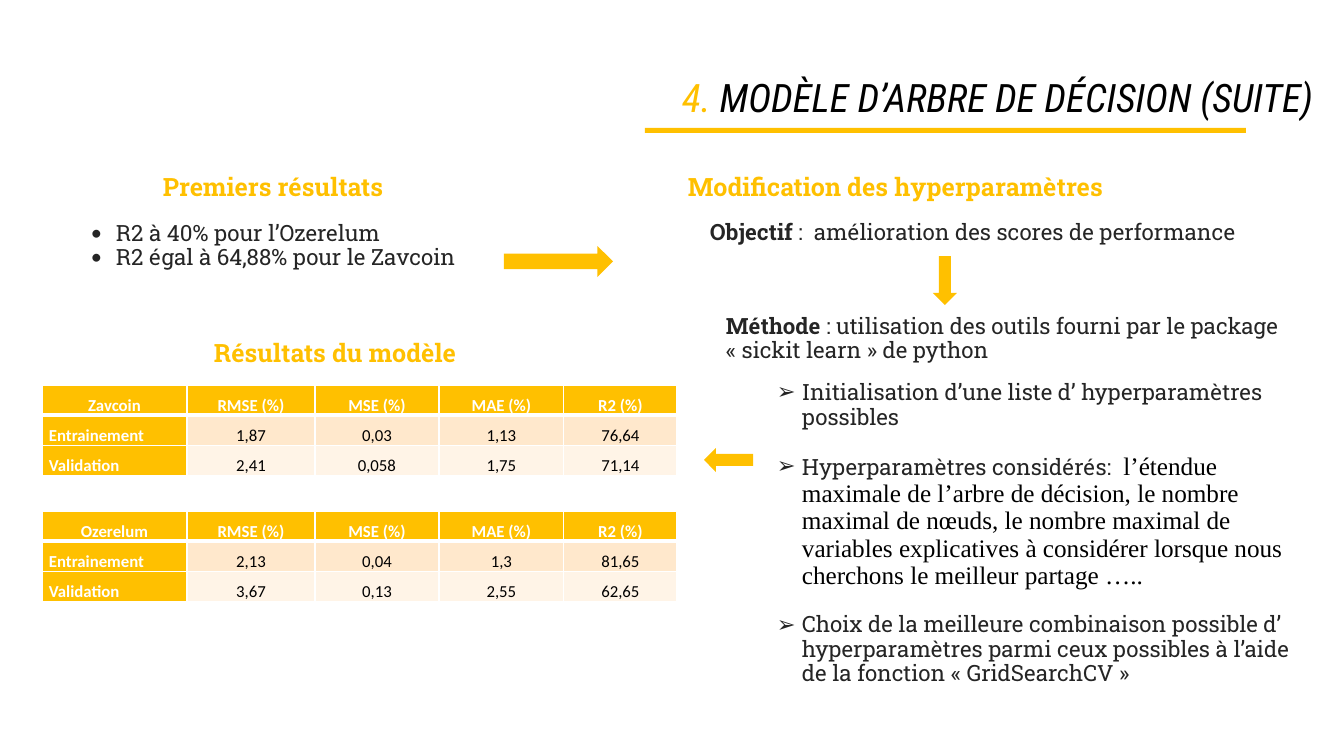
from lxml import etree
from pptx import Presentation
from pptx import util as u
from pptx.dml.color import RGBColor
from pptx.enum import shapes, text
from pptx.oxml import ns

SCALE = 914400 / 100.8  # EMU in one px
COLORS = {"gold": "FFC000", "ink": "252525", "black": "000000", "white": "FFFFFF",
          "peach": "FFE8CC", "cream": "FFF4E7"}
ALIGN = text.PP_ALIGN
SHAPE = shapes.MSO_SHAPE

# Run styles: font, size, colour, bold, italic
STYLES = {
    "number": ("Roboto Condensed", 28, "gold", False, True),
    "title": ("Roboto Condensed", 28, "black", False, True),
    "heading": ("Roboto Slab", 18, "gold", True, False),
    "body": ("Roboto Slab", 16, "ink", False, False),
    "strong": ("Roboto Slab", 16, "ink", True, False),
    "serif": ("Times New Roman", 18, "black", False, False),
    "label": ("Calibri", 12, "white", True, False),
    "value": ("Calibri", 12, "black", False, False),
}

# Content
TITLE = [("4. ", "number"), ("MODÈLE D’ARBRE DE DÉCISION (SUITE)", "title")]
HEADINGS = [
    ("Premiers résultats", (135, 165, 276, 47)),
    ("Modification des hyperparamètres", (607, 165, 577, 47)),
    ("Résultats du modèle", (166, 331, 338, 66)),
]
FIRST_RESULTS = ["R2 à 40% pour l’Ozerelum", "R2 égal à 64,88% pour le Zavcoin"]
GOAL = [("Objectif", "strong"), (" :  amélioration des scores de performance", "body")]
METHOD = [("Méthode", "strong"),
          (" : utilisation des outils fourni par le package «\u00a0sickit learn\u00a0»\u00a0de python",
           "body")]
# Points of the method: space before in points, runs
STEPS = [
    (13, [("Initialisation d’une liste d’ hyperparamètres possibles", "body")]),
    (17, [("Hyperparamètres considérés: ", "body"),
          (" l’étendue maximale de l’arbre de décision, le nombre maximal de nœuds, "
           "le nombre maximal de variables explicatives à considérer lorsque nous "
           "cherchons le meilleur partage …..", "serif")]),
    (17, [("Choix de la meilleure combinaison possible d’ hyperparamètres parmi ceux "
           "possibles à l’aide de la fonction «\u00a0GridSearchCV\u00a0»", "body")]),
]
METRICS = ["RMSE (%)", "MSE (%)", "MAE (%)", "R2 (%)"]
SCORES = {
    "Zavcoin": [("Entrainement", "1,87", "0,03", "1,13", "76,64"),
                ("Validation", "2,41", "0,058", "1,75", "71,14")],
    "Ozerelum": [("Entrainement", "2,13", "0,04", "1,3", "81,65"),
                 ("Validation", "3,67", "0,13", "2,55", "62,65")],
}
TABLE_LEFT, TABLE_TOP, TABLE_STEP, ROW_HEIGHT = 42, 385, 126, 30
COLUMN_WIDTHS = [145, 128, 124, 125, 113]
GOLD_SHAPES = [
    (SHAPE.RECTANGLE, (645, 128, 601, 5)),
    (SHAPE.RIGHT_ARROW, (504, 246, 109, 31)),
    (SHAPE.DOWN_ARROW, (933, 256, 24, 49)),
    (SHAPE.LEFT_ARROW, (704, 448, 49, 24)),
]


def px(length):
    return u.Emu(round(length * SCALE))


def color(name):
    return RGBColor.from_string(COLORS[name])


def write(para, spans, align=ALIGN.LEFT, spacing=0.9, before=0):
    para.alignment, para.line_spacing = align, spacing
    para.space_before = u.Pt(before)
    for words, style in spans:
        span = para.add_run()
        span.text = words
        font = span.font
        font.name, size, tint, font.bold, font.italic = STYLES[style]
        font.size = u.Pt(size)
        font.color.rgb = color(tint)


def add_bullet(para, mark, margin):
    props = para._p.get_or_add_pPr()
    props.set("marL", str(px(margin)))
    props.set("indent", str(px(-25)))
    etree.SubElement(props, ns.qn("a:buFont")).set("typeface", "Calibri")
    etree.SubElement(props, ns.qn("a:buChar")).set("char", mark)


def add_box(slide, place):
    frame = slide.shapes.add_textbox(*map(px, place)).text_frame
    frame.word_wrap = True
    frame.margin_left = frame.margin_right = frame.margin_top = frame.margin_bottom = px(10)
    return frame


def add_borders(cell, bottom):
    props = cell._tc.get_or_add_tcPr()
    for side, points in (("L", 1), ("R", 1), ("T", 1), ("B", bottom)):
        line = etree.SubElement(props, ns.qn("a:ln" + side), w=str(u.Pt(points)))
        fill = etree.SubElement(line, ns.qn("a:solidFill"))
        etree.SubElement(fill, ns.qn("a:srgbClr"), val=COLORS["white"])


def add_scores(slide, top, rows):
    place = (TABLE_LEFT, top, sum(COLUMN_WIDTHS), ROW_HEIGHT * len(rows))
    table = slide.shapes.add_table(len(rows), len(COLUMN_WIDTHS), *map(px, place)).table
    table.horz_banding = False
    for column, width in zip(table.columns, COLUMN_WIDTHS):
        column.width = px(width)
    for r, row in enumerate(rows):
        table.rows[r].height = px(ROW_HEIGHT)
        for c, words in enumerate(row):
            cell = table.cell(r, c)
            cell.margin_left = cell.margin_right = px(7)
            cell.margin_top = cell.margin_bottom = 0
            add_borders(cell, 3 if r == 0 else 1)
            is_label = r == 0 or c == 0
            cell.fill.solid()
            cell.fill.fore_color.rgb = color("gold" if is_label else ("peach", "cream")[r - 1])
            align = ALIGN.JUSTIFY if c == 0 and r > 0 else ALIGN.CENTER
            write(cell.text_frame.paragraphs[0],
                  [(words, "label" if is_label else "value")], align, 1.5)


def main():
    deck = Presentation()
    deck.slide_width, deck.slide_height = px(1344), px(756)
    slide = deck.slides.add_slide(deck.slide_layouts[5])

    # Title
    title = slide.shapes.title
    title.left, title.top, title.width, title.height = map(px, (672, 68, 696, 57))
    title.text_frame.auto_size = text.MSO_AUTO_SIZE.NONE
    write(title.text_frame.paragraphs[0], TITLE, spacing=1.0)

    # Headings
    for words, place in HEADINGS:
        write(add_box(slide, place).paragraphs[0], [(words, "heading")], ALIGN.CENTER)

    # First results
    frame = add_box(slide, (81, 212, 423, 69))
    for i, words in enumerate(FIRST_RESULTS):
        para = frame.add_paragraph() if i else frame.paragraphs[0]
        write(para, [(words, "body")])
        add_bullet(para, "•", 25)

    # Goal and method
    write(add_box(slide, (700, 211, 601, 49)).paragraphs[0], GOAL)
    frame = add_box(slide, (716, 305, 601, 436))
    write(frame.paragraphs[0], METHOD)
    for before, spans in STEPS:
        para = frame.add_paragraph()
        para.level = 1
        write(para, spans, before=before)
        add_bullet(para, "➢", 76)

    # Score tables
    for i, (coin, rows) in enumerate(SCORES.items()):
        add_scores(slide, TABLE_TOP + i * TABLE_STEP, [(coin, *METRICS), *rows])

    # Title rule and arrows
    for kind, place in GOLD_SHAPES:
        mark = slide.shapes.add_shape(kind, *map(px, place))
        mark.shadow.inherit = False
        mark.fill.solid()
        mark.fill.fore_color.rgb = color("gold")
        mark.line.fill.background()

    deck.save("out.pptx")


if __name__ == "__main__":
    main()
